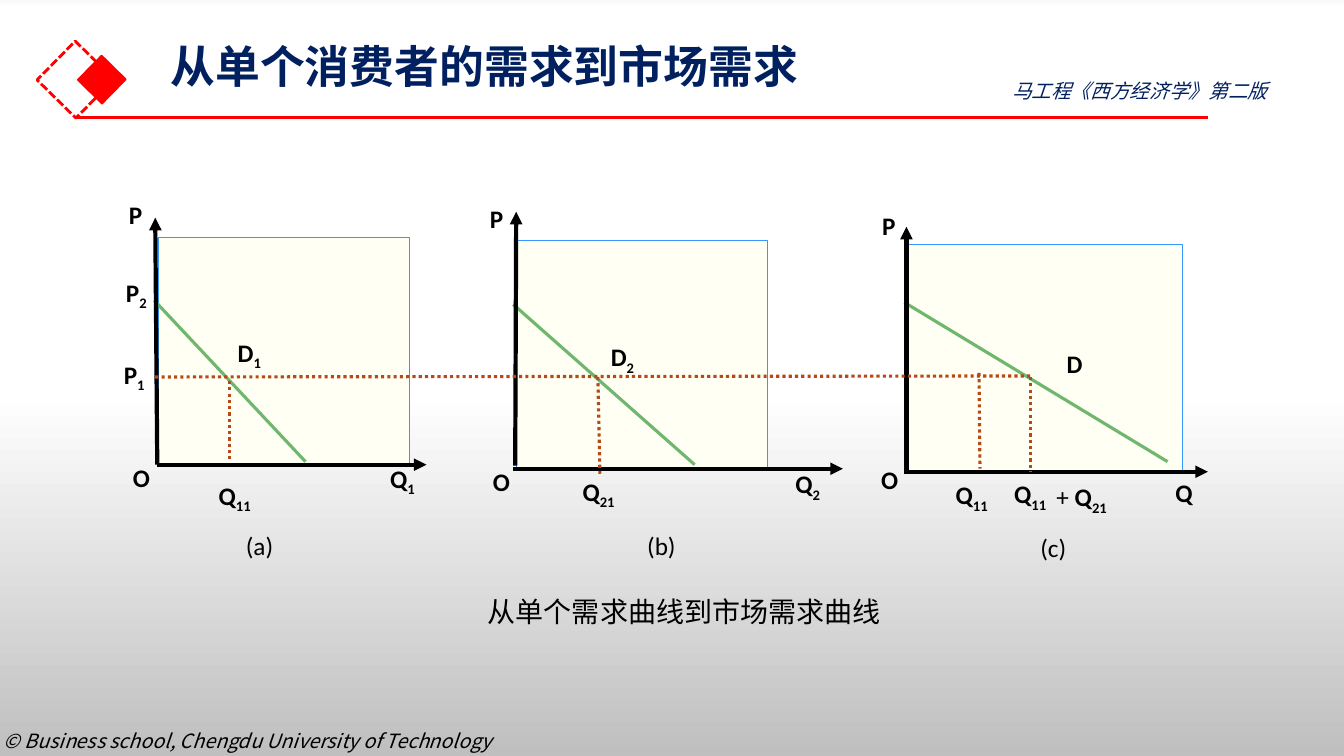
from dataclasses import dataclass
from lxml.etree import SubElement
from pptx import Presentation
from pptx.dml.color import RGBColor
from pptx.enum.dml import MSO_LINE
from pptx.enum.shapes import MSO_CONNECTOR as Connector, MSO_SHAPE as Shape
from pptx.enum.text import MSO_ANCHOR as Anchor, MSO_AUTO_SIZE as AutoSize, PP_ALIGN as Align
from pptx.oxml.ns import qn
from pptx.util import Inches, Pt


@dataclass(frozen=True)
class Theme:
    latin: str = "Calibri"
    chinese: str = "Noto Sans CJK SC"
    black: str = "000000"
    navy: str = "002060"
    red: str = "FF0000"
    panel: str = "FFFFF3"
    panel_edge: str = "3399FF"
    demand: str = "6FB76F"
    guide: str = "B74919"
    background: tuple = ((0, "F9F9F9"), (1, "FFFFFF"), (52, "FFFFFF"), (100, "BFBFBF"))
    title: int = 32
    caption: int = 20
    label: int = 18
    note: int = 14


class SlideBuilder:
    def __init__(self, slide, theme):
        self.slide = slide
        self.theme = theme

    def background(self):
        fill = self.slide.background.fill
        fill.gradient()
        fill.gradient_angle = 270
        stops = self.slide.element.find(".//" + qn("a:gsLst"))
        for stop in list(stops):
            stops.remove(stop)
        for position, color in self.theme.background:
            stop = SubElement(stops, qn("a:gs"), pos=str(position * 1000))
            SubElement(stop, qn("a:srgbClr"), val=color)

    def style(self, para, size, color, font, bold=False, italic=False):
        para.font.size = Pt(size)
        para.font.bold = bold
        para.font.italic = italic
        para.font.color.rgb = RGBColor.from_string(color)
        para.font.name = font
        properties = para._p.pPr.find(qn("a:defRPr"))
        SubElement(properties, qn("a:ea"), typeface=font)

    def place(self, shape, at):
        shape.left, shape.top, shape.width, shape.height = map(Inches, at)

    def title(self, text, at):
        box = self.slide.shapes.title
        self.place(box, at)
        frame = box.text_frame
        frame.text = text
        frame.auto_size = AutoSize.NONE
        frame.vertical_anchor = Anchor.TOP
        frame.margin_top = 0
        para = frame.paragraphs[0]
        para.alignment = Align.LEFT
        para.line_spacing = 0.9
        self.style(para, self.theme.title, self.theme.navy, self.theme.chinese, bold=True)

    def text_box(self, at, wrap=True, anchor=Anchor.TOP):
        box = self.slide.shapes.add_textbox(*map(Inches, at))
        box.text_frame.word_wrap = wrap
        box.text_frame.vertical_anchor = anchor
        return box.text_frame.paragraphs[0]

    def chinese_text(self, text, at, size, color, italic=False, wrap=True, spacing=1.0):
        para = self.text_box(at, wrap)
        para.add_run().text = text
        para.line_spacing = spacing
        self.style(para, size, color, self.theme.chinese, italic=italic)

    def label(self, text, at, subscript="", prefix="", bold=True, wrap=False, anchor=Anchor.MIDDLE):
        para = self.text_box(at, wrap, anchor)
        if prefix:
            span = para.add_run()
            span.text = prefix
            span.font.bold = False
        para.add_run().text = text
        if subscript:
            span = para.add_run()
            span.text = subscript
            span._r.get_or_add_rPr().set("baseline", "-25000")
        self.style(para, self.theme.label, self.theme.black, self.theme.latin, bold=bold)

    def rectangle(self, at, edge, width, fill=None, dash=None, rotation=0):
        shape = self.slide.shapes.add_shape(Shape.RECTANGLE, *map(Inches, at))
        shape.shadow.inherit = False
        shape.rotation = rotation
        if fill:
            shape.fill.solid()
            shape.fill.fore_color.rgb = RGBColor.from_string(fill)
        else:
            shape.fill.background()
        self.outline(shape.line, edge, width, dash)

    def outline(self, line, color, width, dash=None):
        line.color.rgb = RGBColor.from_string(color)
        line.width = Pt(width)
        if dash:
            line.dash_style = dash

    def line(self, start, end, color, width=2.25, dash=None, arrow=False):
        connector = self.slide.shapes.add_connector(
            Connector.STRAIGHT, *map(Inches, (*start, *end)))
        self.outline(connector.line, color, width, dash)
        if arrow:
            SubElement(connector.line._get_or_add_ln(), qn("a:tailEnd"), type="triangle")
        SubElement(connector._element.spPr, qn("a:effectLst"))


PANELS = [
    dict(area=(1.57, 2.36, 2.49, 2.27), name="(a)", name_at=(2.34, 5.21),
         price_axis=((1.56, 4.61), (1.54, 2.16)), quantity_axis=((1.56, 4.61), (4.23, 4.61)),
         demand=((1.53, 2.98), (3.03, 4.58))),
    dict(area=(5.12, 2.39, 2.49, 2.27), name="(b)", name_at=(6.32, 5.21),
         price_axis=((5.11, 4.62), (5.12, 2.1)), quantity_axis=((5.09, 4.65), (8.36, 4.65)),
         demand=((6.89, 4.61), (5.09, 3.02))),
    dict(area=(9, 2.43, 2.73, 2.27), name="(c)", name_at=(10.22, 5.23),
         price_axis=((8.99, 4.7), (8.99, 2.25)), quantity_axis=((8.99, 4.68), (11.98, 4.68)),
         demand=((11.58, 4.58), (8.97, 3))),
]

LABELS = [
    ("P", "", (1.18, 1.97, 0.3, 0.31)),
    ("P", "1", (1.13, 3.49, 0.5, 0.49)),
    ("P", "2", (1.15, 2.72, 0.5, 0.4)),
    ("D", "1", (2.26, 3.36, 0.6, 0.31)),
    ("O", "", (1.22, 4.58, 0.4, 0.31)),
    ("Q", "1", (3.77, 4.61, 0.6, 0.31)),
    ("Q", "11", (2.07, 4.74, 0.7, 0.39)),
    ("P", "", (4.76, 1.99, 0.66, 0.36)),
    ("D", "2", (5.96, 3.36, 0.6, 0.4)),
    ("O", "", (4.79, 4.62, 0.4, 0.31)),
    ("Q", "2", (7.79, 4.64, 0.66, 0.36)),
    ("Q", "21", (5.68, 4.7, 0.7, 0.39)),
    ("P", "", (8.65, 2.1, 0.4, 0.28)),
    ("D", "", (10.48, 3.49, 0.4, 0.24)),
    ("O", "", (8.64, 4.62, 0.4, 0.28)),
    ("Q", "", (11.56, 4.68, 0.65, 0.41)),
    ("Q", "11", (9.38, 4.73, 0.7, 0.4)),
    ("Q", "11", (9.96, 4.7, 0.7, 0.44)),
]

GUIDES = [
    ((1.54, 3.74), (10.22, 3.73)),
    ((2.28, 3.78), (2.28, 4.58)),
    ((5.93, 3.74), (5.95, 4.7)),
    ((9.71, 3.7), (9.72, 4.65)),
    ((10.22, 3.74), (10.22, 4.68)),
]


def main():
    deck = Presentation()
    deck.slide_width, deck.slide_height = Inches(13.33), Inches(7.5)
    theme = Theme()
    page = SlideBuilder(deck.slides.add_slide(deck.slide_layouts[5]), theme)

    page.background()
    page.title("从单个消费者的需求到市场需求", (1.59, 0.44, 11.5, 0.9))
    page.rectangle((0.48, 0.52, 0.54, 0.54), theme.red, 2, dash=MSO_LINE.SQUARE_DOT, rotation=314.5)
    page.rectangle((0.84, 0.62, 0.34, 0.34), theme.red, 1, fill=theme.red, rotation=314.5)
    page.line((0.75, 1.17), (11.98, 1.17), theme.red)
    page.chinese_text("马工程《西方经济学》第二版", (9.94, 0.73, 3.24, 0.34),
                      theme.note, theme.navy, italic=True)
    page.chinese_text("© Business school, Chengdu University of Technology",
                      (-0.06, 7.18, 5.31, 0.34), theme.note, theme.black, italic=True, wrap=False)

    for panel in PANELS:
        page.rectangle(panel["area"], theme.panel_edge, 0.75, fill=theme.panel)
        page.line(*panel["demand"], theme.demand)
        for axis in ("price_axis", "quantity_axis"):
            page.line(*panel[axis], theme.black, 3, arrow=True)
        page.label(panel["name"], (*panel["name_at"], 0.92, 0.4), bold=False, wrap=True)
    for start, end in GUIDES:
        page.line(start, end, theme.guide, dash=MSO_LINE.ROUND_DOT)
    for text, subscript, at in LABELS:
        page.label(text, at, subscript)
    page.label("Q", (10.38, 4.73, 0.9, 0.4), "21", prefix="+ ", anchor=Anchor.TOP)
    page.chinese_text("从单个需求曲线到市场需求曲线", (4.74, 5.68, 4.63, 0.55),
                      theme.caption, theme.black, spacing=1.5)

    deck.save("out.pptx")


if __name__ == "__main__":
    main()
